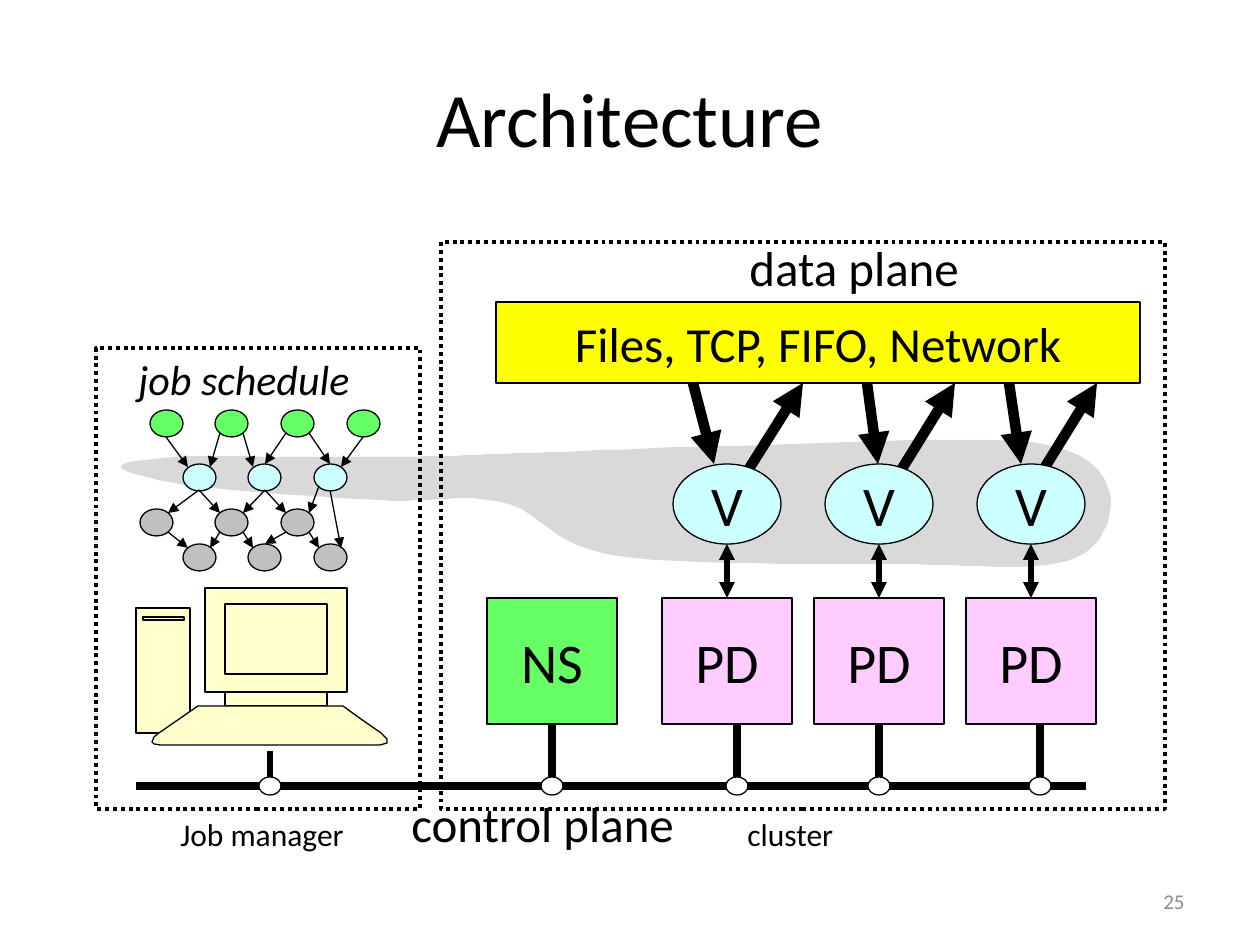
from lxml.etree import SubElement
from pptx import Presentation
from pptx.dml.color import RGBColor
from pptx.enum.dml import MSO_LINE_DASH_STYLE as DASH
from pptx.enum.shapes import MSO_CONNECTOR, MSO_SHAPE as SHAPE
from pptx.enum.text import MSO_ANCHOR as ANCHOR, PP_ALIGN as ALIGN
from pptx.oxml.ns import qn
from pptx.util import Pt

PX = 7257.14  # EMU per px, 126 px to the inch
FONT = "Calibri"
BLACK = RGBColor(0x00, 0x00, 0x00)
WHITE = RGBColor(0xFF, 0xFF, 0xFF)
PAGE_GRAY = RGBColor(0x8C, 0x8C, 0x8C)
BLOB_GRAY = RGBColor(0xD9, 0xD9, 0xD9)
NODE_GRAY = RGBColor(0xC0, 0xC0, 0xC0)
YELLOW = RGBColor(0xFF, 0xFF, 0x00)
GREEN = RGBColor(0x66, 0xFF, 0x66)
CYAN = RGBColor(0xCC, 0xFF, 0xFF)
PINK = RGBColor(0xFF, 0xCC, 0xFF)
CREAM = RGBColor(0xFF, 0xFF, 0xCC)

BLOB_START = (158, 480)
BLOB_CURVES = [
    ((83, 464), (137, 461), (173, 457)),
    ((208, 454), (314, 459), (369, 457)),
    ((425, 457), (447, 456), (505, 454)),
    ((563, 452), (630, 449), (718, 446)),
    ((806, 445), (966, 435), (1032, 442)),
    ((1097, 451), (1106, 478), (1111, 498)),
    ((1111, 523), (1103, 549), (1067, 561)),
    ((1031, 572), (971, 564), (896, 564)),
    ((822, 563), (683, 566), (617, 556)),
    ((552, 546), (542, 512), (505, 503)),
    ((467, 494), (449, 500), (393, 501)),
    ((335, 498), (194, 490), (158, 480)),
]
JOB_ROWS = [
    (GREEN, 410, (150, 215, 281, 347)),
    (CYAN, 464, (183, 248, 314)),
    (NODE_GRAY, 509, (140, 215, 281)),
    (NODE_GRAY, 544, (183, 248, 314)),
]
JOB_EDGES = [
    (166, 437, 188, 467), (220, 433, 210, 467), (243, 433, 253, 467),
    (286, 433, 265, 464), (309, 433, 330, 464), (363, 437, 341, 467),
    (265, 490, 286, 513), (265, 490, 243, 513), (199, 490, 168, 513),
    (199, 490, 220, 513), (319, 486, 309, 513), (330, 490, 341, 548),
    (243, 532, 253, 548), (286, 532, 265, 544), (220, 532, 210, 548),
    (168, 532, 188, 548), (309, 532, 319, 548),
]
KEYBOARD = [
    (198, 706), (343, 706), (358, 717), (381, 733), (384, 736), (387, 739),
    (387, 743), (384, 744), (380, 745), (160, 745), (154, 744), (152, 742),
    (154, 737), (159, 733),
]
BUS_Y = 786


def px(*values):
    return [round(v * PX) for v in values]


def style(sp, fill, line=0.75):
    sp.shadow.inherit = False
    if fill is None:
        sp.fill.background()
    else:
        sp.fill.solid()
        sp.fill.fore_color.rgb = fill
    if line:
        sp.line.color.rgb = BLACK
        sp.line.width = Pt(line)
    else:
        sp.line.fill.background()


def write(sp, text, size, align=ALIGN.LEFT, anchor=ANCHOR.TOP, wrap=True,
          color=BLACK, italic=False):
    tf = sp.text_frame
    tf.word_wrap = wrap
    tf.vertical_anchor = anchor
    p = tf.paragraphs[0]
    p.text = text
    p.alignment = align
    p.font.name = FONT
    p.font.size = Pt(size)
    p.font.color.rgb = color
    p.font.italic = italic


def add_box(s, box, fill, text="", size=32, kind=SHAPE.RECTANGLE):
    sp = s.shapes.add_shape(kind, *px(*box))
    style(sp, fill)
    if text:
        write(sp, text, size, ALIGN.CENTER, ANCHOR.MIDDLE, wrap=False)
    return sp


def add_frame(s, box):
    sp = add_box(s, box, None)
    sp.line.width = Pt(2.25)
    sp.line.dash_style = DASH.ROUND_DOT


def add_label(s, box, text, size, **options):
    write(s.shapes.add_textbox(*px(*box)), text, size, **options)


def add_polygon(s, points, fill, line=0.75):
    builder = s.shapes.build_freeform(*points[0], scale=PX)
    builder.add_line_segments(points[1:], close=True)
    style(builder.convert_to_shape(), fill, line)


def add_line(s, ends, width, heads=()):
    """Draw a line; heads holds headEnd and/or tailEnd, in that order."""
    cxn = s.shapes.add_connector(MSO_CONNECTOR.STRAIGHT, *px(*ends))
    cxn.line.color.rgb = BLACK
    cxn.line.width = Pt(width)
    for head in heads:
        SubElement(cxn.line._get_or_add_ln(), qn(f"a:{head}"), type="triangle")
    SubElement(cxn._element.spPr, qn("a:effectLst"))
    return cxn


def trace_curves(start, curves, steps=12):
    """Return points along a chain of cubic curves."""
    points = [start]
    for b, c, d in curves:
        a = points[-1]
        for i in range(1, steps + 1):
            t = i / steps
            weights = ((1 - t) ** 3, 3 * t * (1 - t) ** 2, 3 * t * t * (1 - t), t ** 3)
            points.append(tuple(sum(w * v for w, v in zip(weights, axis))
                                for axis in zip(a, b, c, d)))
    return points[:-1]


def add_job_graph(s):
    for fill, top, lefts in JOB_ROWS:
        for left in lefts:
            add_box(s, (left, top, 33, 27), fill, kind=SHAPE.OVAL)
    for ends in JOB_EDGES:
        add_line(s, ends, 0.75, ["tailEnd"])


def add_computer(s):
    tower, slot = (136, 608, 54, 125), (143, 617, 41, 3)
    monitor, screen, stand = (205, 588, 142, 104), (225, 604, 102, 70), (225, 692, 102, 14)
    for box in (tower, slot, monitor, screen, stand):
        add_box(s, box, CREAM)
    add_polygon(s, KEYBOARD, CREAM)


def add_cluster(s):
    """Draw the server boxes, the vertices and the arrows to the data plane."""
    add_box(s, (496, 302, 644, 81), YELLOW, "Files, TCP, FIFO, Network", 28)
    ns = add_box(s, (487, 598, 130, 126), GREEN, "NS")
    pds = []
    down = [(693, 714), (867, 878), (1009, 1021)]
    up = [(747, 803), (900, 955), (1042, 1097)]
    for i in range(3):
        left = 662 + 152 * i
        center = left + 65
        pd = add_box(s, (left, 598, 130, 126), PINK, "PD")
        pds.append(pd)
        add_line(s, (up[i][0], 472, up[i][1], 383), 6, ["tailEnd"])
        add_line(s, (down[i][0], 383, down[i][1], 464), 6, ["tailEnd"])
        link = add_line(s, (center, 544, center, 598), 3, ["headEnd", "tailEnd"])
        link.end_connect(pd, 0)
        add_box(s, (center - 54, 464, 108, 80), CYAN, "V", kind=SHAPE.OVAL)
    return ns, pds


def add_bus(s, ns, pds):
    add_line(s, (136, BUS_Y, 1086, BUS_Y), 4.5)
    stems = [(270, 751, 3, None), (552, 724, 4.5, ns), (737, 724, 4.5, None),
             (879, 724, 4.5, pds[1]), (1040, 724, 4.5, None)]
    for x, top, width, box in stems:
        stem = add_line(s, (x, top, x, BUS_Y), width)
        if box is not None:
            stem.begin_connect(box, 2)
        add_box(s, (x - 11, BUS_Y - 9, 22, 18), WHITE, kind=SHAPE.OVAL)


def main():
    prs = Presentation()
    prs.slide_width, prs.slide_height = px(1260, 945)
    s = prs.slides.add_slide(prs.slide_layouts[5])

    title = s.shapes.title
    title.left, title.top, title.width, title.height = px(63, 38, 1134, 157)
    write(title, "Architecture", 44, ALIGN.CENTER, ANCHOR.MIDDLE)

    add_polygon(s, trace_curves(BLOB_START, BLOB_CURVES), BLOB_GRAY, line=0)
    add_frame(s, (96, 348, 324, 461))
    add_frame(s, (441, 242, 724, 567))
    add_job_graph(s)
    add_computer(s)
    ns, pds = add_cluster(s)
    add_bus(s, ns, pds)

    add_label(s, (126, 347, 262, 63), "job schedule", 24, italic=True)
    add_label(s, (737, 231, 343, 72), "data plane", 28)
    add_label(s, (399, 787, 408, 72), "control plane", 28)
    add_label(s, (168, 809, 190, 50), "Job manager", 18, wrap=False)
    add_label(s, (735, 809, 112, 50), "cluster", 18, wrap=False)
    add_label(s, (903, 876, 294, 50), "25", 12, align=ALIGN.RIGHT,
              anchor=ANCHOR.MIDDLE, color=PAGE_GRAY)
    prs.save("out.pptx")


if __name__ == "__main__":
    main()
